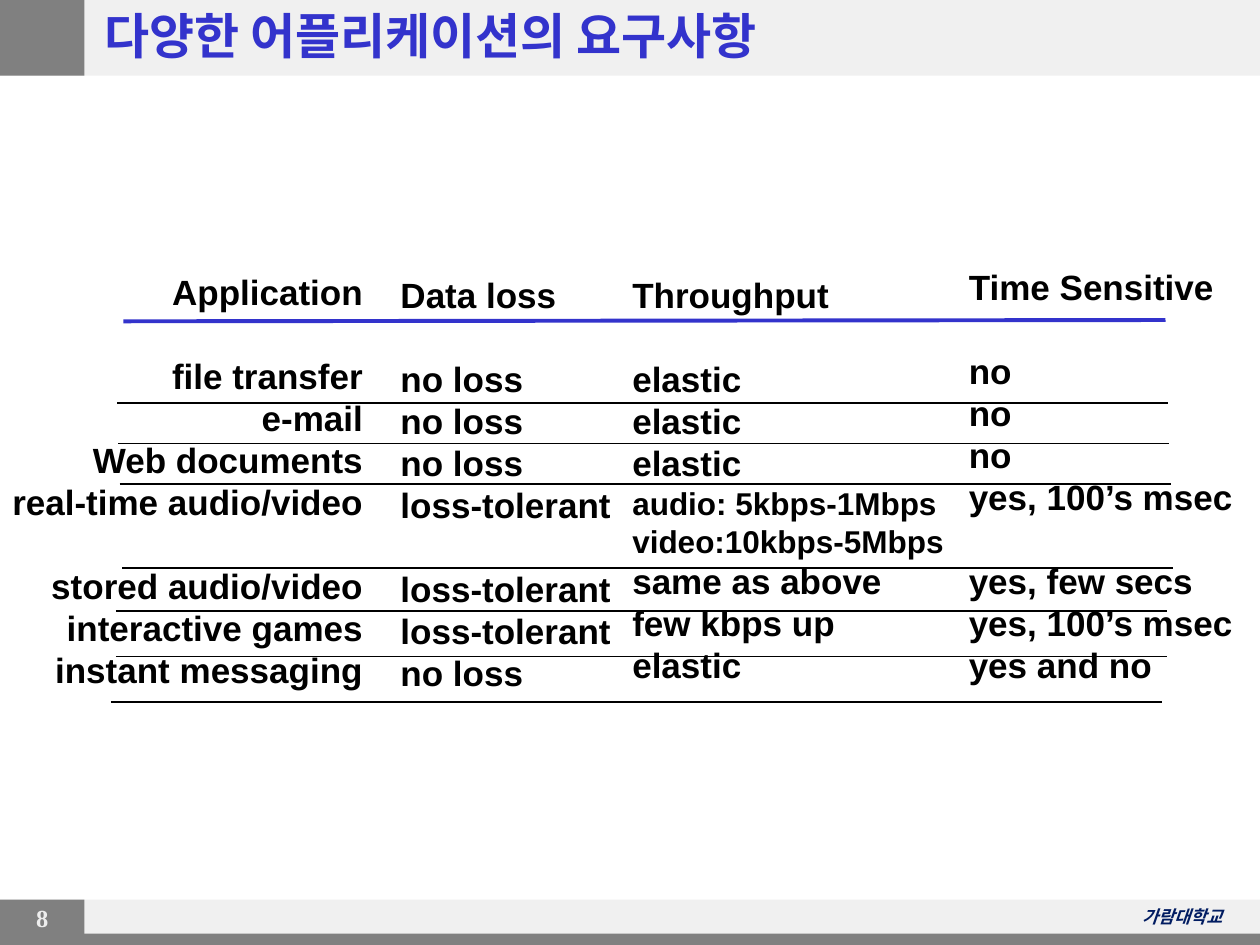
from dataclasses import dataclass

from lxml import etree
from pptx import Presentation
from pptx import util as u
from pptx.dml.color import RGBColor
from pptx.enum import shapes, text
from pptx.oxml.ns import qn


@dataclass(frozen=True)
class Theme:
    """Colours, fonts and type sizes of the slide."""
    blue: str = "3333CC"
    navy: str = "011C61"
    black: str = "000000"
    pale: str = "F0F0F0"
    grey: str = "808080"
    number: str = "EEEEEE"
    latin: str = "Arial"
    korean: str = "Noto Sans CJK KR"
    serif: str = "Times New Roman"
    title: float = 28
    body: float = 20
    small: float = 18
    page: float = 14
    footer: float = 10


@dataclass(frozen=True)
class Band:
    """A filled bar in the page frame."""
    left: float
    top: float
    width: float
    height: float
    color: str


@dataclass(frozen=True)
class Entry:
    """A line in a column, with the number of empty rows above it."""
    words: str
    gap: int = 0
    size: float = 20
    pitch: float = 24


@dataclass(frozen=True)
class Column:
    """A column of the requirements overview."""
    left: float
    top: float
    width: float
    entries: tuple[Entry, ...]
    align: text.PP_ALIGN = text.PP_ALIGN.LEFT
    wrap: bool = False


@dataclass(frozen=True)
class Rule:
    """A line from a start point, with its rise to the right."""
    left: float
    top: float
    width: float = 8.34
    rise: float = 0
    color: str = "000000"
    weight: float = 1


THEME = Theme()
ROW_PITCH = 24

BANDS = (
    Band(0, 7.14, 10, 0.36, THEME.pale),
    Band(0, 7.14, 0.67, 0.36, THEME.grey),
    Band(0, 0, 10, 0.6, THEME.pale),
    Band(0, 0, 0.67, 0.6, THEME.grey),
    Band(0, 7.41, 10, 0.09, THEME.grey),
)


def entries(*words: str) -> tuple[Entry, ...]:
    """Make a column's lines: a gap follows the heading and the fourth row."""
    return tuple(Entry(word, gap=int(row in (1, 5))) for row, word in enumerate(words))


THROUGHPUT = (
    *entries("Throughput", "elastic", "elastic", "elastic"),
    Entry("audio: 5kbps-1Mbps", size=THEME.small, pitch=21.7),
    Entry("video:10kbps-5Mbps", size=THEME.small, pitch=21.7),
    Entry("same as above"), Entry("few kbps up"), Entry("elastic"),
)

COLUMNS = (
    Column(-0.02, 2.1, 3, entries(
        "Application", "file transfer", "e-mail", "Web documents",
        "real-time audio/video", "stored audio/video", "interactive games",
        "instant messaging"), align=text.PP_ALIGN.RIGHT),
    Column(3.08, 2.12, 1.88, entries(
        "Data loss", "no loss", "no loss", "no loss", "loss-tolerant",
        "loss-tolerant", "loss-tolerant", "no loss")),
    Column(4.92, 2.12, 3.4, THROUGHPUT, wrap=True),
    Column(7.59, 2.06, 2.41, entries(
        "Time Sensitive", "no", "no", "no", "yes, 100’s msec",
        "yes, few secs", "yes, 100’s msec", "yes and no"), wrap=True),
)

RULES = (
    Rule(0.98, 2.55, width=8.27, rise=0.01, color=THEME.blue, weight=2.25),
    Rule(0.93, 3.2), Rule(0.94, 3.52), Rule(0.95, 3.84), Rule(0.97, 4.51),
    Rule(0.92, 4.85), Rule(0.92, 5.21), Rule(0.88, 5.57),
)


def write(para, words: str, *, size: float, color: str = THEME.black,
          font: str = THEME.latin, italic: bool = False,
          align: text.PP_ALIGN = text.PP_ALIGN.LEFT) -> None:
    """Write bold text into a paragraph with the given format."""
    para.alignment = align
    span = para.add_run()
    span.text = words
    span.font.size = u.Pt(size)
    span.font.bold = True
    span.font.italic = italic
    span.font.name = font
    span.font.color.rgb = RGBColor.from_string(color)
    east = etree.Element(qn("a:ea"), typeface=font)
    span.font._element.find(qn("a:latin")).addnext(east)


def add_box(page, left: float, top: float, width: float, height: float,
            wrap: bool = True):
    """Add a text box and return its text frame."""
    box = page.shapes.add_textbox(u.Inches(left), u.Inches(top),
                                  u.Inches(width), u.Inches(height))
    box.text_frame.word_wrap = wrap
    return box.text_frame


def add_band(page, band: Band) -> None:
    """Draw one bar of the page frame."""
    bar = page.shapes.add_shape(
        shapes.MSO_SHAPE.RECTANGLE, u.Inches(band.left), u.Inches(band.top),
        u.Inches(band.width), u.Inches(band.height))
    bar.shadow.inherit = False
    bar.fill.solid()
    bar.fill.fore_color.rgb = RGBColor.from_string(band.color)
    bar.line.fill.background()


def add_title(page, words: str) -> None:
    """Place the title placeholder in front of the frame."""
    title = page.shapes.title
    title.left, title.top = u.Inches(0.73), u.Inches(-0.01)
    title.width, title.height = u.Inches(8.97), u.Inches(0.57)
    frame = title.text_frame
    frame.auto_size = text.MSO_AUTO_SIZE.NONE
    frame.vertical_anchor = text.MSO_ANCHOR.MIDDLE
    write(frame.paragraphs[0], words, size=THEME.title, color=THEME.blue,
          font=THEME.korean)
    page.shapes.element.append(title.element)


def add_column(page, column: Column) -> None:
    """Write one column, with skipped rows as paragraph spacing."""
    frame = add_box(page, column.left, column.top, column.width, 3.47, column.wrap)
    for row, entry in enumerate(column.entries):
        para = frame.add_paragraph() if row else frame.paragraphs[0]
        para.line_spacing = u.Pt(entry.pitch)
        para.space_before = u.Pt(entry.gap * ROW_PITCH)
        write(para, entry.words, size=entry.size, align=column.align)


def add_rule(page, rule: Rule) -> None:
    """Draw one separating line."""
    line = page.shapes.add_connector(
        shapes.MSO_CONNECTOR.STRAIGHT, u.Inches(rule.left), u.Inches(rule.top),
        u.Inches(rule.left + rule.width), u.Inches(rule.top - rule.rise))
    line.line.color.rgb = RGBColor.from_string(rule.color)
    line.line.width = u.Pt(rule.weight)
    etree.SubElement(line.element.spPr, qn("a:effectLst"))


def main() -> None:
    """Build the slide and save the deck."""
    deck = Presentation()
    deck.slide_width, deck.slide_height = u.Inches(10), u.Inches(7.5)
    page = deck.slides.add_slide(deck.slide_layouts[5])
    for band in BANDS:
        add_band(page, band)
    write(add_box(page, 0.04, 7.12, 0.59, 0.33).paragraphs[0], "8", size=THEME.page,
          color=THEME.number, font=THEME.serif, align=text.PP_ALIGN.CENTER)
    write(add_box(page, 8.15, 7.14, 1.65, 0.27).paragraphs[0], "가람대학교",
          size=THEME.footer, color=THEME.navy, font=THEME.korean, italic=True,
          align=text.PP_ALIGN.RIGHT)
    add_title(page, "다양한 어플리케이션의 요구사항")
    for column in COLUMNS:
        add_column(page, column)
    for rule in RULES:
        add_rule(page, rule)
    deck.save("out.pptx")


main()
